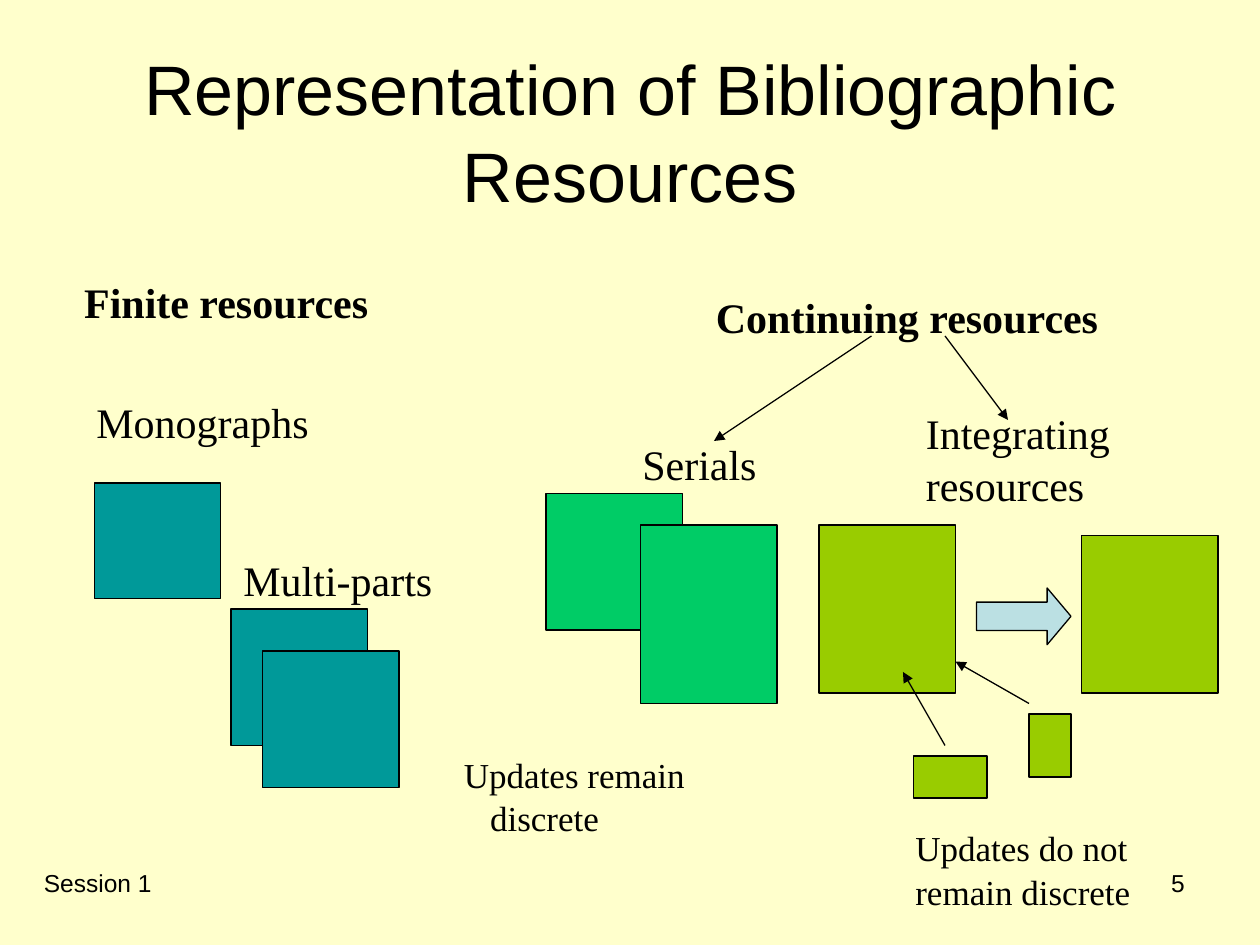
from lxml import etree
from pptx import Presentation
from pptx.dml.color import RGBColor
from pptx.enum import shapes, text
from pptx.oxml import ns
from pptx.util import Pt

SERIF, SANS = "Times New Roman", "Arial"
INK, CREAM, TEAL = "000000", "FFFFCC", "009999"
GREEN, LIME, PALE = "00CC66", "99CC00", "BBE0E3"
LEFT, MID, RIGHT = text.PP_ALIGN.LEFT, text.PP_ALIGN.CENTER, text.PP_ALIGN.RIGHT


def color(code):
    return RGBColor.from_string(code)


class Board:
    def __init__(self, slide):
        self.slide = slide
        self.ink = INK
        self.width = Pt(0.75)
        self.pitch = 1.04
        slide.background.fill.solid()
        slide.background.fill.fore_color.rgb = color(CREAM)

    def phrase(self, par, words, size, face, bold=False, align=LEFT):
        par.alignment = align
        par.line_spacing = self.pitch
        run = par.add_run()
        run.text = words
        run.font.size = Pt(size)
        run.font.name = face
        run.font.bold = bold
        run.font.color.rgb = color(self.ink)

    def title(self, words, *area):
        box = self.slide.shapes.title
        box.left, box.top, box.width, box.height = map(Pt, area)
        frame = box.text_frame
        frame.auto_size = text.MSO_AUTO_SIZE.NONE
        frame.vertical_anchor = text.MSO_ANCHOR.MIDDLE
        self.phrase(frame.paragraphs[0], words, 40, SANS, align=MID)

    def label(self, lines, area, size=24, face=SERIF, bold=False,
              align=LEFT, wrap=True, inset=0):
        frame = self.slide.shapes.add_textbox(*map(Pt, area)).text_frame
        frame.word_wrap = wrap
        for row, words in enumerate(lines):
            par = frame.add_paragraph() if row else frame.paragraphs[0]
            if row and inset:
                par._p.get_or_add_pPr().set("marL", str(Pt(inset)))
            self.phrase(par, words, size, face, bold, align)

    def block(self, fill, *area, kind=shapes.MSO_SHAPE.RECTANGLE):
        item = self.slide.shapes.add_shape(kind, *map(Pt, area))
        item.shadow.inherit = False
        item.fill.solid()
        item.fill.fore_color.rgb = color(fill)
        item.line.color.rgb = color(self.ink)
        item.line.width = self.width
        return item

    def arrow(self, *ends):
        link = self.slide.shapes.add_connector(
            shapes.MSO_CONNECTOR.STRAIGHT, *map(Pt, ends))
        link.line.color.rgb = color(self.ink)
        link.line.width = self.width
        line = link._element.spPr.find(ns.qn("a:ln"))
        etree.SubElement(line, ns.qn("a:tailEnd")).set("type", "triangle")
        etree.SubElement(link._element.spPr, ns.qn("a:effectLst"))


def main():
    deck = Presentation()
    deck.slide_width, deck.slide_height = Pt(720), Pt(540)
    board = Board(deck.slides.add_slide(deck.slide_layouts[5]))

    board.title("Representation of Bibliographic Resources", 36, 21.6, 648, 104.4)

    board.label(["Finite resources"], (41, 153.4, 178, 36), bold=True, wrap=False)
    board.label(["Monographs"], (48, 222, 150, 36))
    board.block(TEAL, 54, 276, 72, 66)
    board.label(["Multi-parts"], (132, 312, 156, 36))
    board.block(TEAL, 132, 348, 78, 78)
    board.block(TEAL, 150, 372, 78, 78)

    board.label(["Continuing resources"], (402, 162, 282, 36), bold=True)
    board.arrow(498, 192, 408, 252)
    board.arrow(540, 192, 576, 240)

    board.label(["Serials"], (360, 246, 84, 36))
    board.block(GREEN, 312, 282, 78, 78)
    board.block(GREEN, 366, 300, 78, 102)
    board.label(["Updates remain", "discrete"], (258, 426, 144, 55.4),
                size=20, inset=15)

    board.label(["Integrating resources"], (522, 228, 174, 64.8))
    board.block(LIME, 468, 300, 78, 96)
    change = board.block(PALE, 558, 336, 54, 32.4,
                         kind=shapes.MSO_SHAPE.RIGHT_ARROW)
    change.adjustments[1] = 0.42
    board.block(LIME, 618, 306, 78, 90)
    board.block(LIME, 522, 432, 42, 24)
    board.block(LIME, 588, 408, 24, 36)
    board.arrow(588, 402, 546, 378)
    board.arrow(540, 426, 516, 384)
    board.label(["Updates do not remain discrete"], (516, 468, 138, 55.4), size=20)

    board.label(["Session 1"], (18, 492, 252, 30), size=14, face=SANS)
    board.label(["5"], (516, 492, 168, 37.4), size=14, face=SANS, align=RIGHT)

    deck.save("out.pptx")


if __name__ == "__main__":
    main()
